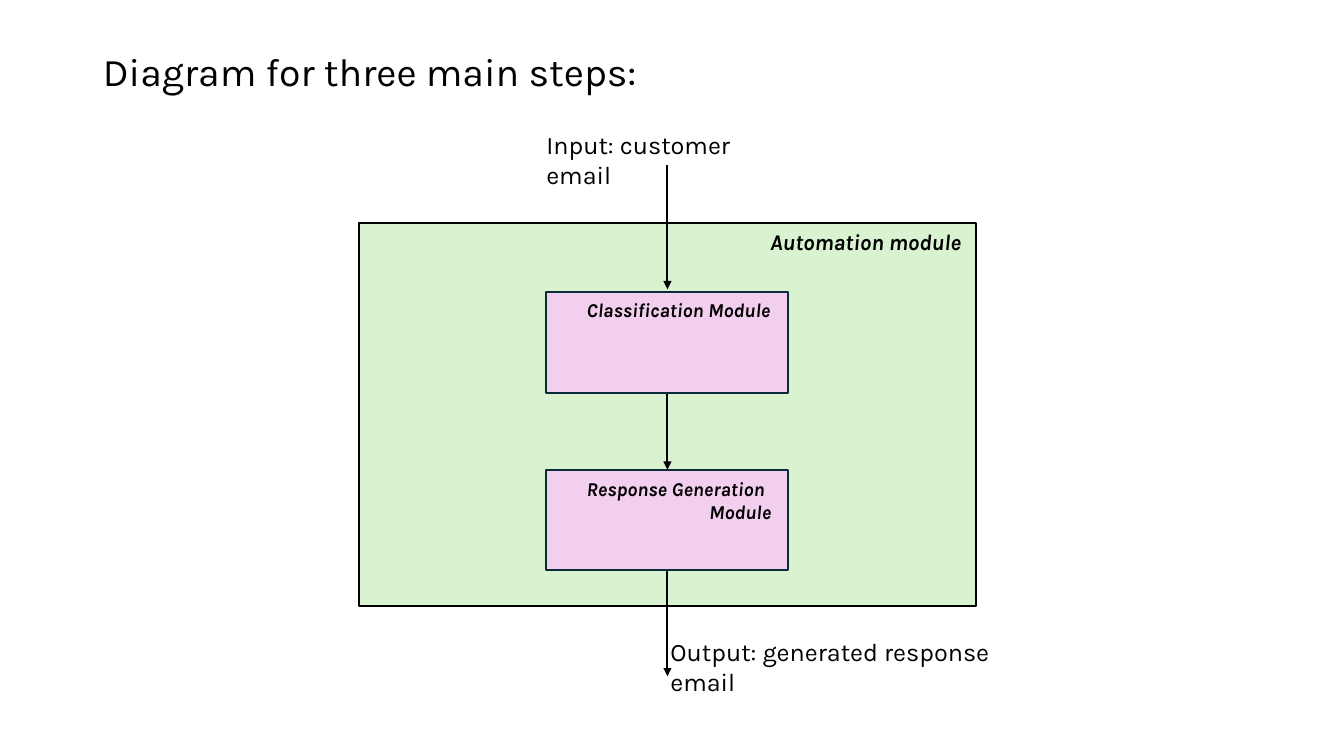
"""Build a slide showing the main steps of an email automation flow."""
from lxml.etree import SubElement
from pptx import Presentation
from pptx.dml.color import RGBColor
from pptx.enum.shapes import MSO_CONNECTOR, MSO_SHAPE
from pptx.enum.text import MSO_ANCHOR, PP_ALIGN
from pptx.oxml.ns import qn
from pptx.util import Inches, Pt


def color(value):
    return RGBColor.from_string(value)


def format_paragraph(paragraph, size, emphasis=False):
    font = paragraph.font
    font.name = "Karla"
    font.size = Pt(size)
    font.bold = font.italic = emphasis
    font.color.rgb = color("000000")


presentation = Presentation()
presentation.slide_width = Inches(13.33)
presentation.slide_height = Inches(7.5)
slide = presentation.slides.add_slide(presentation.slide_layouts[5])

title = slide.shapes.title
title.left, title.top = Inches(0.92), Inches(0.4)
title.width, title.height = Inches(11.5), Inches(0.67)
title.text_frame.text = "Diagram for three main steps:"
title.text_frame.vertical_anchor = MSO_ANCHOR.MIDDLE
heading = title.text_frame.paragraphs[0]
heading.alignment = PP_ALIGN.LEFT
heading.line_spacing = 0.9
format_paragraph(heading, 28)

boxes = [
    (3.56, 2.21, 6.12, 3.8, "D9F2D0", "000000"),
    (5.42, 2.9, 2.4, 1, "F2CFEE", "092A39"),
    (5.42, 4.66, 2.4, 1, "F2CFEE", "092A39"),
]
for left, top, width, height, fill, outline in boxes:
    box = slide.shapes.add_shape(
        MSO_SHAPE.RECTANGLE, Inches(left), Inches(top), Inches(width), Inches(height)
    )
    box.shadow.inherit = False
    box.fill.solid()
    box.fill.fore_color.rgb = color(fill)
    box.line.color.rgb = color(outline)
    box.line.width = Pt(1.5)

flow_x = Inches(6.62)
for start, end in [(1.64, 2.87), (3.91, 4.66), (5.66, 6.71)]:
    arrow = slide.shapes.add_connector(
        MSO_CONNECTOR.STRAIGHT, flow_x, Inches(start), flow_x, Inches(end)
    )
    arrow.line.color.rgb = color("000000")
    arrow.line.width = Pt(1.5)
    SubElement(arrow.line._get_or_add_ln(), qn("a:tailEnd"), type="triangle")
    SubElement(arrow._element.spPr, qn("a:effectLst"))

labels = [
    (5.32, 1.23, 2.6, 0.4, 18, False, ["Input: customer email"]),
    (6.55, 6.26, 3.91, 0.4, 18, False, ["Output: generated response email"]),
    (7.54, 2.21, 2.22, 0.37, 16, True, ["Automation module"]),
    (5.72, 2.91, 2.15, 0.34, 14, True, ["Classification Module"]),
    (5.72, 4.68, 2.13, 0.57, 14, True, ["Response Generation", "Module"]),
]
for left, top, width, height, size, emphasis, lines in labels:
    label = slide.shapes.add_textbox(
        Inches(left), Inches(top), Inches(width), Inches(height)
    )
    frame = label.text_frame
    frame.word_wrap = True
    frame.text = "\n".join(lines)
    for paragraph in frame.paragraphs:
        format_paragraph(paragraph, size, emphasis)
    if len(lines) > 1:
        frame.margin_right = Inches(0.2)
        frame.paragraphs[-1].alignment = PP_ALIGN.RIGHT

presentation.save("out.pptx")
